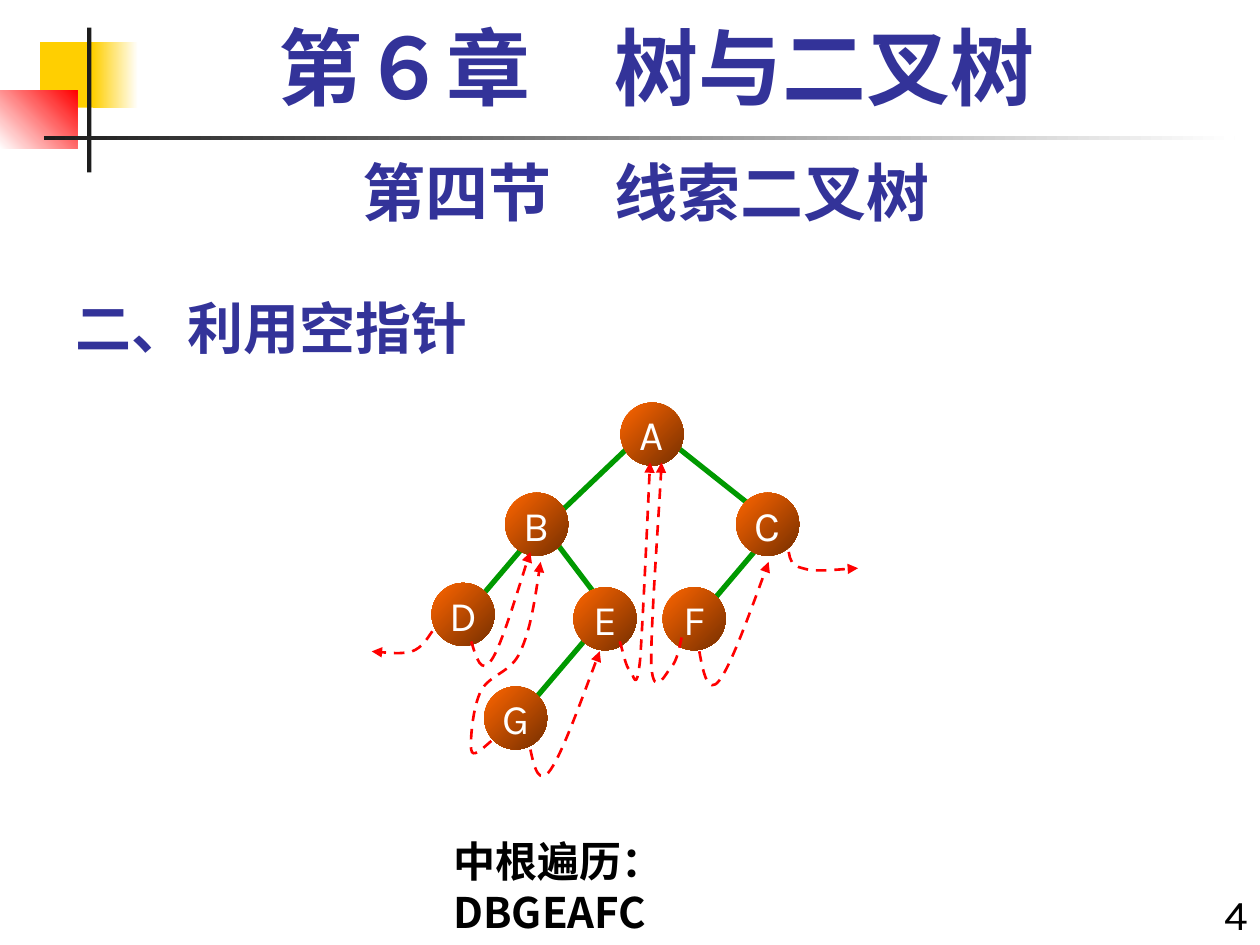
"""Build a slide on the threaded binary tree, with its in-order threads."""
from lxml import etree
from pptx import Presentation
from pptx import util as u
from pptx.dml.color import RGBColor
from pptx.enum import dml, shapes, text
from pptx.oxml import ns

Pt = u.Pt
YELLOW = RGBColor(0xFF, 0xCF, 0x01)
RED = RGBColor(0xFF, 0, 0)
WHITE = RGBColor(0xFF, 0xFF, 0xFF)
BLACK = RGBColor(0, 0, 0)
CHARCOAL = RGBColor(0x1C, 0x1C, 0x1C)
NAVY = RGBColor(0x33, 0x33, 0x99)
GREEN = RGBColor(0, 0x99, 0)
ORANGE = RGBColor(0xFF, 0x66, 0)
BROWN = RGBColor(0x76, 0x2F, 0)

SANS = "Noto Sans CJK SC"
LATIN = "Karla"
NODE = 36

DECOR = [
    ((23, 24.1, 34.5, 37.5), (YELLOW,), 0),
    ((53, 24.1, 25.9, 37.5), (YELLOW, WHITE), 0),
    ((0, 51.6, 44.2, 33.4), (WHITE, RED), 45),
    ((49.8, 15.8, 2.5, 82.8), (CHARCOAL,), 0),
    ((25.2, 77.8, 680.4, 2.5), (CHARCOAL, WHITE), 0),
]
TEXTS = [
    ("二、利用空指针", (36, 155.6, 450, 54),
     dict(size=32, font=SANS, color=NAVY, bold=True, anchor="BOTTOM")),
    ("4", (672, 504, 48, 36), dict(size=24, align="RIGHT")),
    ("第四节　线索二叉树", (36, 84, 666, 50.4),
     dict(size=36, color=NAVY, bold=True, align="CENTER")),
    ("第６章　树与二叉树", (48, 12, 654, 60),
     dict(size=48, font="Times New Roman", color=NAVY, bold=True,
          align="CENTER", spacing=0.9)),
    ("中根遍历：DBGEAFC", (252, 474, 220.3, 36),
     dict(size=24, font=SANS, bold=True)),
]
EDGES = [
    (381.6, 251.3, 427, 287.3), (363.6, 251.3, 319, 293.8),
    (309.6, 300.2, 276.5, 339.1), (312.5, 303.1, 339.8, 339.1),
    (441.4, 303.1, 409, 341.3), (339.8, 359.3, 306.7, 398.2),
]
NODES = {
    "A": (354.6, 230.1), "D": (246.6, 333.1), "B": (288.7, 281.6),
    "F": (378.7, 335.6), "C": (420.7, 281.6), "G": (276.7, 392.3),
    "E": (327.7, 335.6),
}
THREADS = [
    [(247, 360.7), (244.1, 365), (241.2, 370.1), (235.4, 372.2),
     (229.7, 373.7), (221, 373), (212.4, 372.2)],
    [(269.3, 366.5), (272.2, 375.8), (275, 385.9), (280.8, 377.3),
     (286.6, 369.4), (299.5, 325.4), (303.1, 315.4)],
    [(280.8, 423.4), (275, 428.4), (270, 433.4), (269.3, 428.4),
     (268.6, 424.1), (270, 403.9), (275, 394.6),
     (280.1, 385.2), (292.3, 384.5), (297.4, 372.2),
     (303.1, 360), (306, 340.6), (308.9, 321.1)],
    [(303.1, 428.4), (305.3, 439.2), (308.2, 449.3), (314.6, 439.9),
     (321.1, 430.6), (331.9, 401), (342.7, 372.2)],
    [(354.2, 366.5), (356.4, 373.7), (357.8, 381.6), (360, 383),
     (362.2, 385.2), (363.6, 397.4), (365.8, 377.3),
     (367.2, 357.8), (369.4, 311), (371.5, 264.2)],
    [(389.5, 364.3), (388.1, 370.8), (386.6, 378), (383.8, 380.9),
     (380.9, 383.8), (373.7, 400.3), (372.2, 380.9),
     (371.5, 361.4), (377.3, 283.7), (378, 264.2)],
    [(399.6, 372.2), (401.8, 384.5), (404.6, 397.4), (411.1, 388.8),
     (417.6, 380.2), (428.4, 350.6), (439.2, 321.1)],
    [(450.7, 315.4), (451.4, 319.7), (452.2, 323.3), (458.6, 324.7),
     (465.1, 326.9), (478.1, 325.4), (490.3, 324.7)],
]

prs = Presentation()
prs.slide_width, prs.slide_height = Pt(720), Pt(540)
s = prs.slides.add_slide(prs.slide_layouts[6])


def write(sp, words, size=24, font=LATIN, color=BLACK, bold=False,
          align="LEFT", anchor="TOP", spacing=None, wrap=True, side=7.2):
    tf = sp.text_frame
    tf.word_wrap = wrap
    tf.margin_left = tf.margin_right = Pt(side)
    tf.vertical_anchor = text.MSO_ANCHOR[anchor]
    p = tf.paragraphs[0]
    p.alignment = text.PP_ALIGN[align]
    p.line_spacing = spacing
    r = p.add_run()
    r.text = words
    r.font.size, r.font.bold, r.font.name = Pt(size), bold, font
    r.font.color.rgb = color
    etree.SubElement(r.font._element, ns.qn("a:ea"), typeface=SANS)


def add_filled(parent, kind, box, colors, angle=0):
    sp = parent.shapes.add_shape(kind, *map(Pt, box))
    sp.shadow.inherit = False
    sp.line.fill.background()
    if len(colors) == 1:
        sp.fill.solid()
        sp.fill.fore_color.rgb = colors[0]
    else:
        sp.fill.gradient()
        sp.fill.gradient_angle = angle
        for stop, color in zip(sp.fill.gradient_stops, colors):
            stop.color.rgb = color
    return sp


def add_edge(parent, ends):
    line = parent.shapes.add_connector(shapes.MSO_CONNECTOR.STRAIGHT, *map(Pt, ends))
    line.line.color.rgb, line.line.width = GREEN, Pt(3)
    etree.SubElement(line._element.spPr, ns.qn("a:effectLst"))


def add_thread(parent, points):
    start, *rest = [tuple(map(Pt, point)) for point in points]
    builder = parent.shapes.build_freeform(*start)
    builder.add_line_segments(rest, close=False)
    sp = builder.convert_to_shape()
    segments = list(sp._element.iter(ns.qn("a:lnTo")))
    for i in range(0, len(segments), 3):
        curve = etree.Element(ns.qn("a:cubicBezTo"))
        segments[i].addprevious(curve)
        for segment in segments[i:i + 3]:
            curve.append(segment[0])
            segment.getparent().remove(segment)
    sp.shadow.inherit = False
    sp.fill.background()
    sp.line.color.rgb, sp.line.width = RED, Pt(1.5)
    sp.line.dash_style = dml.MSO_LINE.DASH
    etree.SubElement(sp.line._get_or_add_ln(), ns.qn("a:tailEnd"), type="triangle")


for box, colors, angle in DECOR:
    add_filled(s, shapes.MSO_SHAPE.RECTANGLE, box, colors, angle)
for words, box, style in TEXTS:
    write(s.shapes.add_textbox(*map(Pt, box)), words, **style)

tree = s.shapes.add_group_shape()
for ends in EDGES:
    add_edge(tree, ends)
for name, corner in NODES.items():
    node = add_filled(tree, shapes.MSO_SHAPE.OVAL, (*corner, NODE, NODE),
                      (ORANGE, BROWN), 315)
    write(node, name, color=WHITE, align="CENTER", anchor="MIDDLE",
          wrap=False, side=0)
for points in THREADS:
    add_thread(tree, points)

prs.save("out.pptx")
